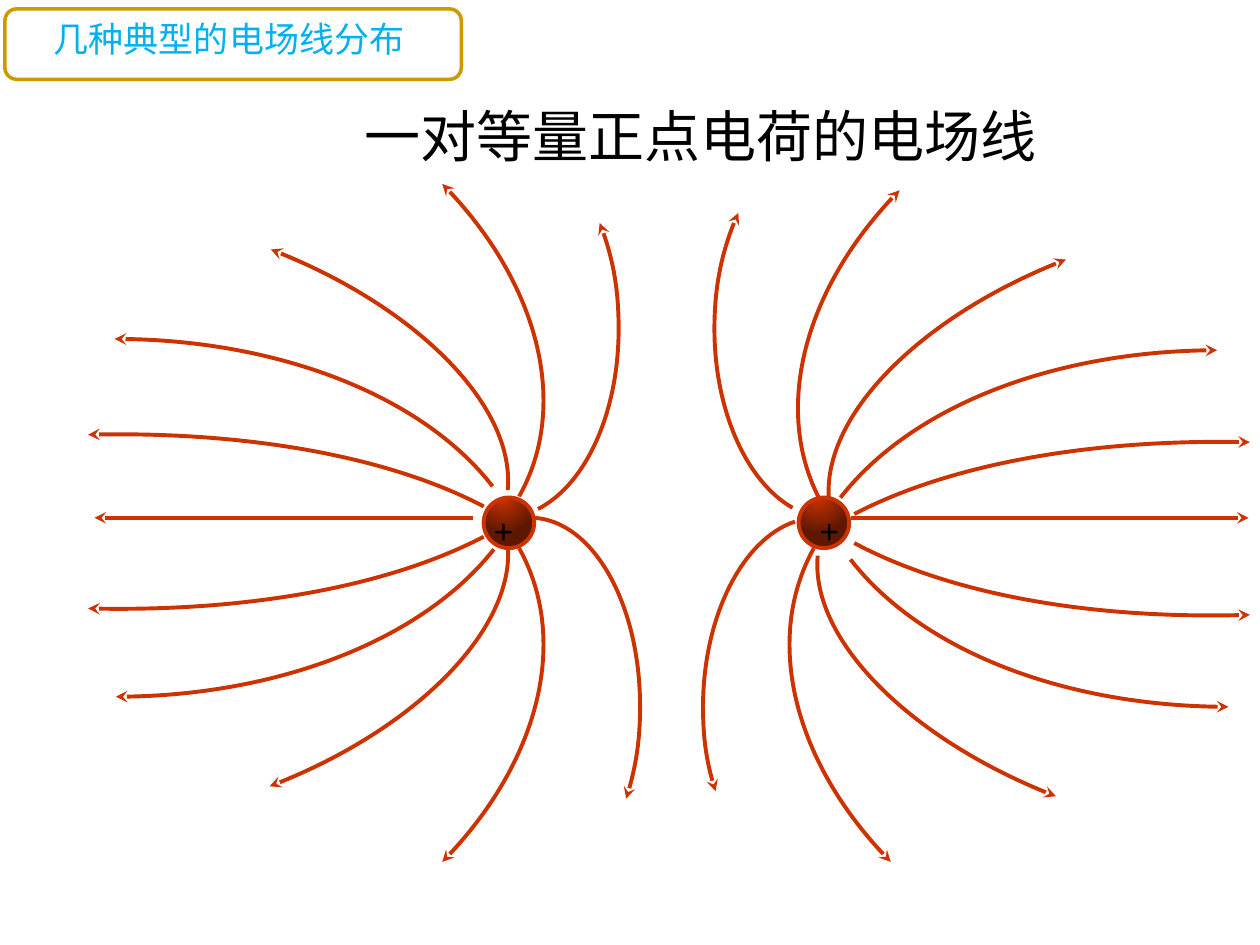
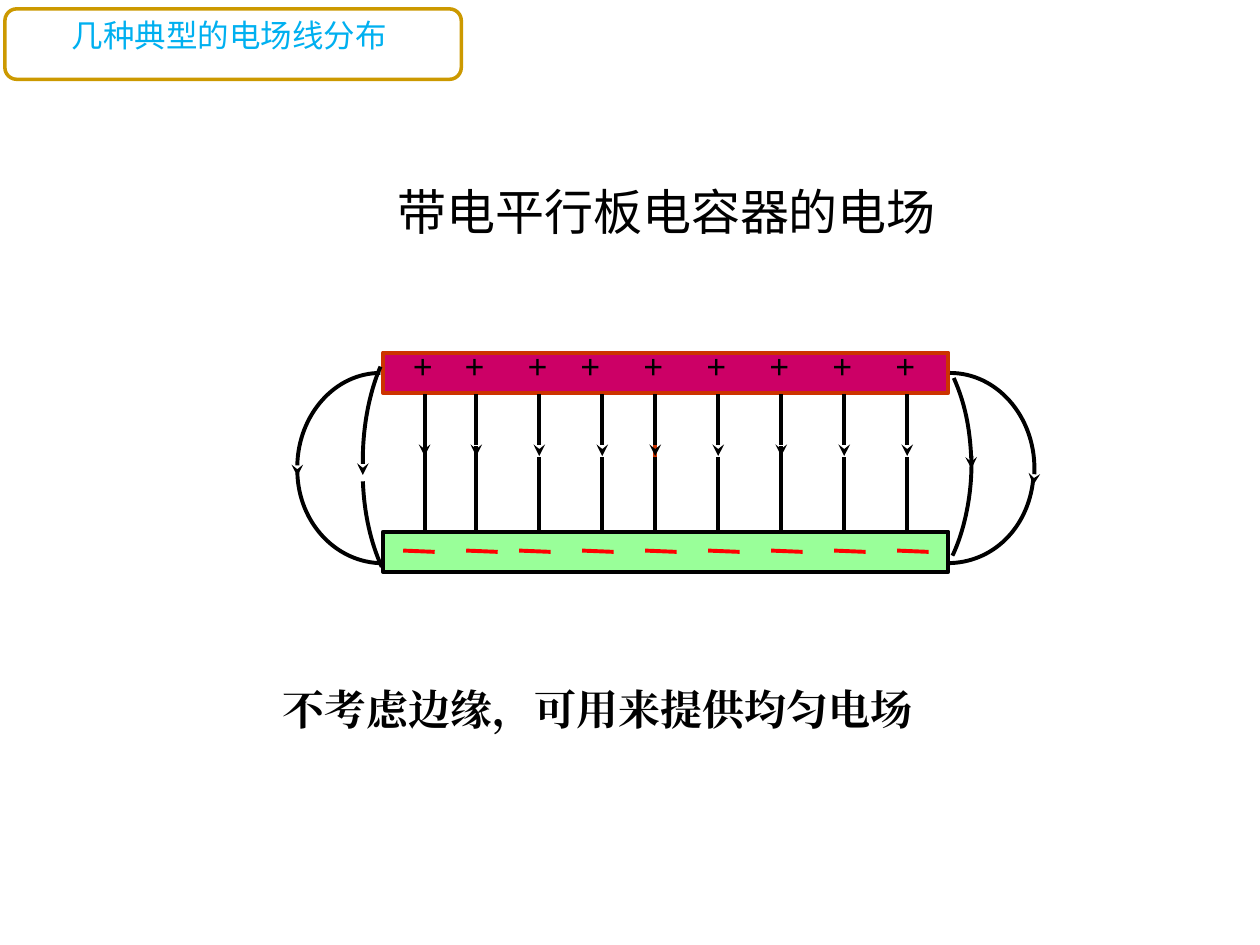
from lxml import etree
from pptx import Presentation
from pptx.dml.color import RGBColor
from pptx.enum import shapes, text
from pptx.oxml.ns import qn
from pptx.util import Cm, Pt

BLACK = RGBColor(0x00, 0x00, 0x00)
WHITE = RGBColor(0xFF, 0xFF, 0xFF)
RED = RGBColor(0xFF, 0x00, 0x00)
SKY = RGBColor(0x00, 0xB0, 0xF0)
GOLD = RGBColor(0xCC, 0x99, 0x00)
RUST = RGBColor(0xCC, 0x33, 0x00)
DARK_RUST = RGBColor(0x5E, 0x18, 0x00)
CRIMSON = RGBColor(0xCC, 0x00, 0x66)
MINT = RGBColor(0x99, 0xFF, 0x99)
HEADING_FONT = "Noto Sans CJK SC"
SIGN_FONT = "TeX Gyre Bonum"
NOTE_FONT = "Times New Roman"
INCH = 2.54  # coordinates below are in inches


def write(box, words, size, font, color=BLACK, inset=0.13, align=text.PP_ALIGN.CENTER, bold=False):
    """Format a text box or placeholder and add one run to it."""
    frame = box.text_frame
    frame.word_wrap = True
    frame.auto_size = text.MSO_AUTO_SIZE.NONE
    frame.vertical_anchor = text.MSO_ANCHOR.TOP
    frame.margin_left = frame.margin_right = Cm(inset)
    frame.margin_top = frame.margin_bottom = Cm(inset)
    paragraph = frame.paragraphs[0]
    paragraph.alignment = align
    paragraph.line_spacing = 1.2
    run = paragraph.add_run()
    run.text = words
    run.font.size = Pt(size)
    run.font.bold = bold
    run.font.color.rgb = color
    run.font.name = font
    etree.SubElement(run.font._element, qn("a:ea"), typeface=font)


def draw_line(slide, points, color, arrow=False):
    """Two points give a straight line; otherwise a start and Bezier triples."""
    points = [(Cm(x * INCH), Cm(y * INCH)) for x, y in points]
    if len(points) == 2:
        line = slide.shapes.add_connector(shapes.MSO_CONNECTOR.STRAIGHT, *points[0], *points[1])
    else:
        builder = slide.shapes.build_freeform(*points[0])
        builder.add_line_segments(points[1:], close=False)
        line = builder.convert_to_shape()
        line.fill.background()
        segments = list(line.element.iter(qn("a:lnTo")))
        for start in range(0, len(segments), 3):
            curve = etree.Element(qn("a:cubicBezTo"))
            segments[start].addprevious(curve)
            for segment in segments[start:start + 3]:
                curve.append(segment[0])
                segment.getparent().remove(segment)
    line.line.color.rgb = color
    line.line.width = Pt(2.25)
    properties = line.element.spPr
    if arrow:
        etree.SubElement(properties.find(qn("a:ln")), qn("a:tailEnd"), type="stealth")
    etree.SubElement(properties, qn("a:effectLst"))


prs = Presentation()
prs.slide_width, prs.slide_height = Cm(25.4), Cm(19.05)

# Heading and section label of both slides
headings = [
    ("一对等量正点电荷的电场线", 32, (6.4, 1.65, 15.44, 1.68), 20),
    ("带电平行板电容器的电场", 28, (6.43, 3.3, 14.02, 1.7), 18),
]
for heading, heading_size, place, label_size in headings:
    slide = prs.slides.add_slide(prs.slide_layouts[5])
    title = slide.shapes.title
    title.left, title.top, title.width, title.height = map(Cm, place)
    write(title, heading, heading_size, HEADING_FONT)
    band = slide.shapes.add_shape(shapes.MSO_SHAPE.ROUNDED_RECTANGLE, Cm(0.1), Cm(0.18), Cm(9.2), Cm(1.42))
    band.shadow.inherit = False
    band.fill.solid()
    band.fill.fore_color.rgb = WHITE
    band.line.color.rgb = GOLD
    band.line.width = Pt(2)
    label = slide.shapes.add_textbox(Cm(-0.08), Cm(0.05), Cm(9.4), Cm(1.17))
    write(label, "几种典型的电场线分布", label_size, HEADING_FONT, SKY)
charges_slide, capacitor_slide = prs.slides

# Field lines of two equal positive charges, each from charge to tip
left_field = [
    [(3.84, 4.26), (3.09, 4.65), (1.95, 4.86), (0.7, 4.83)],
    [(3.84, 4.02), (3.1, 3.63), (1.95, 3.42), (0.7, 3.45)],
    [(4.27, 4.04), (4.66, 3.84), (4.91, 3.26), (4.91, 2.61), (4.91, 2.31), (4.86, 2.02), (4.76, 1.77)],
    [(4.23, 4.11), (4.7, 4.13), (5.08, 4.78), (5.08, 5.61), (5.08, 5.87), (5.04, 6.12), (4.97, 6.34)],
    [(4.12, 4.35), (4.52, 5.07), (4.27, 6.07), (3.51, 6.84)],
    [(4.12, 3.94), (4.52, 3.23), (4.27, 2.23), (3.51, 1.46)],
    [(4.03, 3.89), (4.09, 3.23), (3.29, 2.42), (2.15, 1.98)],
    [(4.03, 4.32), (4.09, 4.98), (3.29, 5.8), (2.14, 6.24)],
    [(3.91, 3.86), (3.36, 3.15), (2.19, 2.69), (0.91, 2.69)],
    [(3.92, 4.36), (3.36, 5.07), (2.19, 5.53), (0.92, 5.53)],
    [(3.75, 4.11), (0.75, 4.11)],
]
right_field = [
    [(6.78, 4.31), (7.53, 4.71), (8.67, 4.92), (9.92, 4.88)],
    [(6.78, 4.08), (7.53, 3.69), (8.67, 3.48), (9.92, 3.51)],
    [(6.31, 4.14), (5.89, 4.28), (5.58, 4.9), (5.58, 5.61), (5.58, 5.84), (5.61, 6.07), (5.68, 6.28)],
    [(6.29, 4.03), (5.92, 3.82), (5.67, 3.25), (5.67, 2.61), (5.67, 2.28), (5.74, 1.95), (5.86, 1.69)],
    [(6.52, 3.99), (6.13, 3.28), (6.38, 2.28), (7.14, 1.51)],
    [(6.46, 4.35), (6.06, 5.07), (6.31, 6.07), (7.07, 6.84)],
    [(6.49, 4.41), (6.43, 5.07), (7.24, 5.88), (8.38, 6.32)],
    [(6.58, 3.97), (6.52, 3.31), (7.32, 2.5), (8.46, 2.06)],
    [(6.67, 3.95), (7.23, 3.23), (8.39, 2.78), (9.66, 2.78)],
    [(6.75, 4.44), (7.31, 5.16), (8.47, 5.61), (9.75, 5.61)],
    [(6.75, 4.11), (9.91, 4.11)],
]
for field_line in left_field + right_field:
    draw_line(charges_slide, field_line, RUST, arrow=True)

for charge_left, sign_left in [(9.75, 9.55), (16.1, 16.12)]:
    charge = charges_slide.shapes.add_shape(shapes.MSO_SHAPE.OVAL, Cm(charge_left), Cm(10.03), Cm(1.02), Cm(1.02))
    charge.shadow.inherit = False
    charge.fill.gradient()
    for stop, color in zip(charge.fill.gradient_stops, (RUST, DARK_RUST)):
        stop.color.rgb = color
    gradient = charge.element.spPr.find(qn("a:gradFill"))
    gradient.remove(gradient.find(qn("a:lin")))
    glow = etree.SubElement(gradient, qn("a:path"), path="circle")
    etree.SubElement(glow, qn("a:fillToRect"), l="38000", t="-20000", r="62000", b="120000")
    charge.line.color.rgb = RUST
    charge.line.width = Pt(2.25)
    sign = charges_slide.shapes.add_textbox(Cm(sign_left), Cm(10.1), Cm(1.2), Cm(0.91))
    write(sign, "+", 18, SIGN_FONT, inset=0)

# Capacitor plates with their signs
for plate_top, fill, edge in [(10.72, MINT, BLACK), (7.11, CRIMSON, RUST)]:
    plate = capacitor_slide.shapes.add_shape(shapes.MSO_SHAPE.RECTANGLE, Cm(7.72), Cm(plate_top), Cm(11.4), Cm(0.81))
    plate.shadow.inherit = False
    plate.fill.solid()
    plate.fill.fore_color.rgb = fill
    plate.line.color.rgb = edge
    plate.line.width = Pt(2.25)

for x in [3.23, 3.64, 4.14] + [4.56 + 0.5 * i for i in range(6)]:
    plus = capacitor_slide.shapes.add_textbox(Cm(x * INCH), Cm(6.78), Cm(0.64), Cm(0.94))
    write(plus, "+", 18, SIGN_FONT, inset=0)
for x in [3.2, 3.7] + [4.12 + 0.5 * i for i in range(7)]:
    draw_line(capacitor_slide, [(x, 4.37), (x + 0.25, 4.38)], RED)

# Uniform field between the plates
draw_line(capacitor_slide, [(5.2, 3.13), (5.2, 4.04)], RUST)
lower_starts = [3.46, 3.54, 3.63, 3.63, 3.63, 3.63, 3.54, 3.63, 3.63]
field_xs = [3.37, 3.78, 4.28, 4.78] + [5.2 + 0.5 * i for i in range(5)]
for x, lower_start in zip(field_xs, lower_starts):
    draw_line(capacitor_slide, [(x, 3.13), (x, 3.62)], BLACK, arrow=True)
    draw_line(capacitor_slide, [(x, lower_start), (x, 4.21)], BLACK)

# Curved field at the edges: upper halves carry the arrows
upper_edges = [
    [(7.57, 3), (7.66, 3.2), (7.71, 3.46), (7.71, 3.72)],
    [(3.02, 2.91), (2.93, 3.12), (2.88, 3.39), (2.88, 3.65), (2.88, 3.69), (2.88, 3.73), (2.88, 3.77)],
    [(7.54, 2.96), (7.91, 2.96), (8.21, 3.3), (8.21, 3.72), (8.21, 3.76), (8.21, 3.81), (8.2, 3.85)],
    [(3.02, 2.96), (2.66, 2.96), (2.36, 3.3), (2.36, 3.71), (2.36, 3.73), (2.36, 3.76), (2.36, 3.78)],
]
lower_edges = [
    [(7.71, 3.62), (7.72, 3.9), (7.66, 4.2), (7.56, 4.41)],
    [(2.88, 3.82), (2.89, 4.07), (2.94, 4.3), (3.03, 4.5)],
    [(8.2, 3.81), (8.16, 4.19), (7.88, 4.47), (7.52, 4.47)],
    [(2.36, 3.75), (2.37, 4.15), (2.67, 4.47), (3.04, 4.47)],
]
for edge_lines, arrow in [(upper_edges, True), (lower_edges, False)]:
    for edge_line in edge_lines:
        draw_line(capacitor_slide, edge_line, BLACK, arrow)

note = capacitor_slide.shapes.add_textbox(Cm(5.56), Cm(13.44), Cm(15.52), Cm(2.06))
write(note, "不考虑边缘，可用来提供均匀电场", 24, NOTE_FONT, align=text.PP_ALIGN.LEFT, bold=True)

prs.save("out.pptx")
